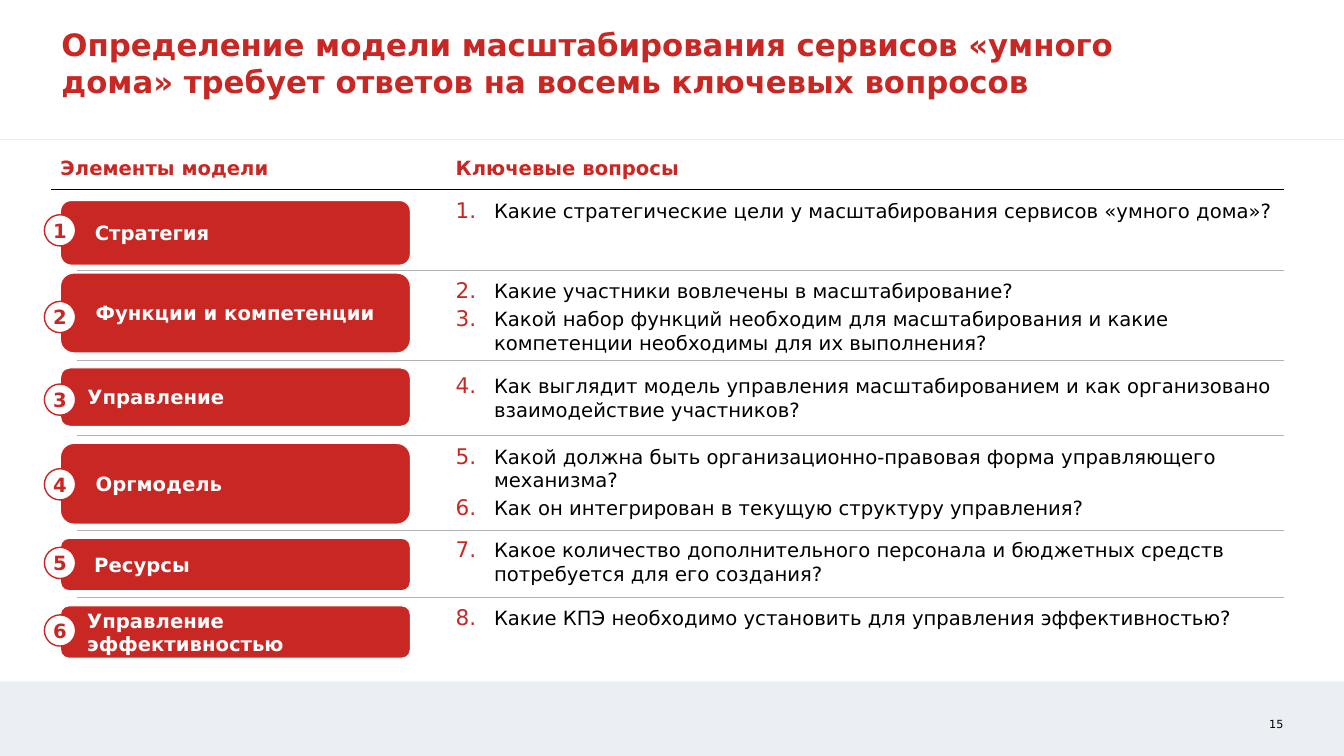
"""Build the slide on the eight key questions of a smart home scaling model."""
from lxml.etree import SubElement
from pptx import Presentation
from pptx.dml.color import RGBColor
from pptx.enum.shapes import MSO_CONNECTOR, MSO_SHAPE
from pptx.enum.text import MSO_ANCHOR as ANCHOR, MSO_AUTO_SIZE, PP_ALIGN as ALIGN
from pptx.oxml.ns import qn
from pptx.util import Pt

PX = 9144
COLORS = {"red": "C92723", "white": "FFFFFF", "black": "000000",
          "band": "EBEFF3", "rule": "B3B3B3"}
RGB = {name: RGBColor.from_string(value) for name, value in COLORS.items()}
FONT = "DejaVu Sans"
LABEL_LEFT, QUESTION_LEFT, RIGHT = 60, 452, 1273
LABEL_WIDTH, BADGE_LEFT, BADGE_SIZE = 347, 44, 31
NUMBER_INDENT = 38


def write(shape, lines, size, color, bold=False, anchor=ANCHOR.TOP,
          align=ALIGN.LEFT, margins=(0, 0, 0, 0), wrap=True):
    """Fill a shape with formatted paragraphs."""
    frame = shape.text_frame
    frame.text = "\n".join(lines)
    frame.word_wrap = wrap
    frame.auto_size = MSO_AUTO_SIZE.NONE
    frame.vertical_anchor = anchor
    (frame.margin_left, frame.margin_top,
     frame.margin_right, frame.margin_bottom) = [m * PX for m in margins]
    for paragraph in frame.paragraphs:
        paragraph.alignment = align
        for run in paragraph.runs:
            run.font.name = FONT
            run.font.size = Pt(size)
            run.font.bold = bold
            run.font.color.rgb = RGB[color]


def add_rule(left, right, y, color, width):
    """Draw a horizontal line."""
    line = slide.shapes.add_connector(MSO_CONNECTOR.STRAIGHT, left * PX, y * PX,
                                      right * PX, y * PX)
    line.line.color.rgb = RGB[color]
    line.line.width = Pt(width)
    SubElement(line._element.spPr, qn("a:effectLst"))


presentation = Presentation()
presentation.slide_width = 1333 * PX
presentation.slide_height = 750 * PX
slide = presentation.slides.add_slide(presentation.slide_layouts[5])

band = slide.shapes.add_shape(MSO_SHAPE.RECTANGLE, 0, 676 * PX, 1333 * PX, 74 * PX)
band.shadow.inherit = False
band.fill.solid()
band.fill.fore_color.rgb = RGB["band"]
band.line.fill.background()
add_rule(0, 1333, 138, "band", 0.5)

page_number = slide.shapes.add_textbox(1237 * PX, 712 * PX, 36 * PX, 13 * PX)
write(page_number, ["15"], 8, "black", anchor=ANCHOR.BOTTOM, align=ALIGN.RIGHT)

title = slide.shapes.title
title.left, title.top, title.width, title.height = 61 * PX, 25 * PX, 1212 * PX, 74 * PX
write(title, ["Определение модели масштабирования сервисов «умного дома» "
              "требует ответов на восемь ключевых вопросов"],
      22, "red", bold=True, anchor=ANCHOR.BOTTOM, margins=(0, 0, 87, 0))

for left, width, heading in [(LABEL_LEFT, 291, "Элементы модели"),
                             (QUESTION_LEFT, 881, "Ключевые вопросы")]:
    header = slide.shapes.add_textbox(left * PX, 154 * PX, width * PX, 26 * PX)
    write(header, [heading], 14, "red", bold=True, anchor=ANCHOR.BOTTOM,
          margins=(0, 0, 0, 2))
add_rule(51, RIGHT, 188, "black", 1)

for y in (268, 358, 432, 526, 593):
    add_rule(76, RIGHT, y, "rule", 0.5)

# label, label inset, label top, label height, badge top, questions top and height
elements = [
    ("Стратегия", 31, 199, 64, 213, 197, 24,
     ["Какие стратегические цели у масштабирования сервисов «умного дома»?"]),
    ("Функции и компетенции", 31, 271, 79, 299, 277, 75,
     ["Какие участники вовлечены в масштабирование?",
      "Какой набор функций необходим для масштабирования и какие "
      "компетенции необходимы для их выполнения?"]),
    ("Управление", 24, 365, 58, 381, 371, 47,
     ["Как выглядит модель управления масштабированием и как организовано "
      "взаимодействие участников?"]),
    ("Оргмодель", 31, 440, 80, 465, 441, 76,
     ["Какой должна быть организационно-правовая форма управляющего механизма?",
      "Как он интегрирован в текущую структуру управления?"]),
    ("Ресурсы", 31, 534, 52, 543, 534, 47,
     ["Какое количество дополнительного персонала и бюджетных средств "
      "потребуется для его создания?"]),
    ("Управление эффективностью", 24, 601, 52, 610, 601, 24,
     ["Какие КПЭ необходимо установить для управления эффективностью?"]),
]

first_question = 1
for number, (label, inset, top, height, badge_top, questions_top,
             questions_height, questions) in enumerate(elements, 1):
    box = slide.shapes.add_shape(MSO_SHAPE.ROUNDED_RECTANGLE, LABEL_LEFT * PX,
                                 top * PX, LABEL_WIDTH * PX, height * PX)
    badge = slide.shapes.add_shape(MSO_SHAPE.OVAL, BADGE_LEFT * PX, badge_top * PX,
                                   BADGE_SIZE * PX, BADGE_SIZE * PX)
    for shape, fill, outline, width in [(box, "red", "white", 0.75),
                                        (badge, "white", "red", 1)]:
        shape.shadow.inherit = False
        shape.fill.solid()
        shape.fill.fore_color.rgb = RGB[fill]
        shape.line.color.rgb = RGB[outline]
        shape.line.width = Pt(width)
    write(box, [label], 14, "white", bold=True, anchor=ANCHOR.MIDDLE,
          margins=(inset, 8, 8, 8))
    write(badge, [str(number)], 14, "red", bold=True, anchor=ANCHOR.MIDDLE,
          align=ALIGN.CENTER, wrap=False)

    question_box = slide.shapes.add_textbox(QUESTION_LEFT * PX, questions_top * PX,
                                            820 * PX, questions_height * PX)
    write(question_box, questions, 14, "black")
    for paragraph in question_box.text_frame.paragraphs:
        properties = paragraph._p.get_or_add_pPr()
        properties.set("marL", str(NUMBER_INDENT * PX))
        properties.set("indent", str(-NUMBER_INDENT * PX))
        bullet_color = SubElement(properties, qn("a:buClr"))
        SubElement(bullet_color, qn("a:srgbClr"), val=COLORS["red"])
        SubElement(properties, qn("a:buSzPct"), val="110000")
        SubElement(properties, qn("a:buFont"), typeface=FONT)
        SubElement(properties, qn("a:buAutoNum"), type="arabicPeriod",
                   startAt=str(first_question))
        paragraph.space_after = Pt(3)
    first_question += len(questions)

presentation.save("out.pptx")
